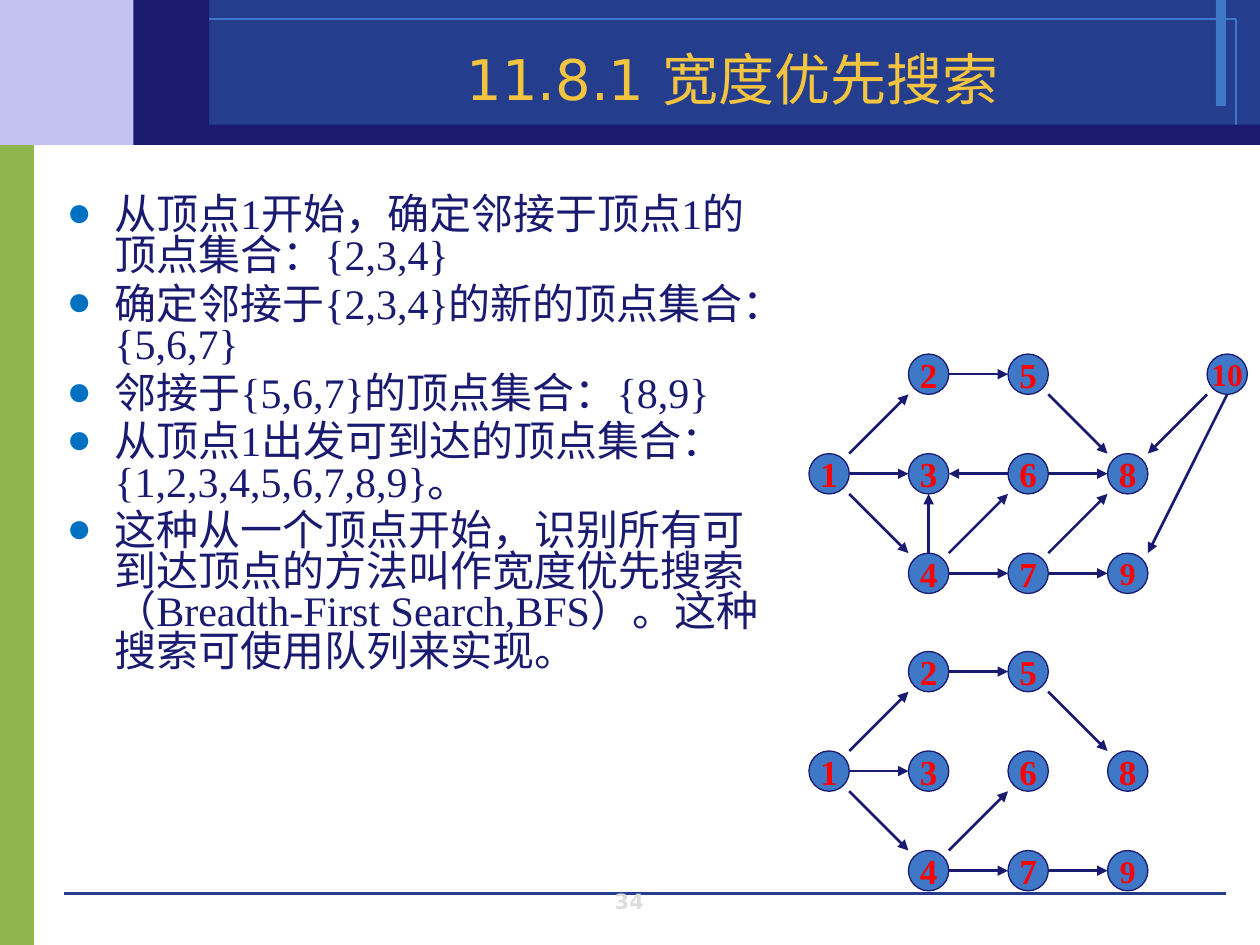
import pptx
import pptx.dml.color
import pptx.enum.shapes
import pptx.enum.text
import pptx.oxml.ns
import pptx.util
from lxml import etree

Inches, Pt = pptx.util.Inches, pptx.util.Pt
SHAPE = pptx.enum.shapes.MSO_SHAPE
ALIGN = pptx.enum.text.PP_ALIGN
ANCHOR = pptx.enum.text.MSO_ANCHOR
SANS, SERIF = "DejaVu Sans", "Times New Roman"
NAVY, BLUE, LIGHT_BLUE = "1A1A70", "243D8C", "3E78C6"

# Content
TITLE = "11.8.1 宽度优先搜索 "
PAGE_NUMBER = "34"
BULLETS = [
    "从顶点1开始，确定邻接于顶点1的顶点集合：{2,3,4}",
    "确定邻接于{2,3,4}的新的顶点集合：{5,6,7}",
    "邻接于{5,6,7}的顶点集合：{8,9}",
    "从顶点1出发可到达的顶点集合：{1,2,3,4,5,6,7,8,9}。",
    "这种从一个顶点开始，识别所有可到达顶点的方法叫作宽度优先搜索"
    "（Breadth-First Search,BFS）。这种搜索可使用队列来实现。",
]

# Graph vertices as (column, row) on a shared grid
VERTICES = {1: (0, 1), 2: (1, 0), 3: (1, 1), 4: (1, 2), 5: (2, 0),
            6: (2, 1), 7: (2, 2), 8: (3, 1), 9: (3, 2), 10: (4, 0)}
TREE_EDGES = [(1, 2), (1, 3), (1, 4), (2, 5), (4, 7), (5, 8), (7, 9), (4, 6)]
OTHER_EDGES = [(6, 3), (6, 8), (7, 8), (10, 8), (10, 9), (4, 3)]
GRAPHS = [  # top of the grid, vertices, edges
    (2.81, range(1, 11), TREE_EDGES + OTHER_EDGES),
    (5.17, range(1, 10), TREE_EDGES),
]
GRID_LEFT, GRID_STEP, DIAMETER = 6.42, 0.79, 0.32

# Master decoration: left, top, width, height, fill, line
BANDS = [
    (0, 1.07, 0.27, 6.44, "90B54D", None),
    (0, 0, 1.53, 1.15, "C3C3F1", None),
    (1.53, 0, 8.47, 1.15, BLUE, None),
    (9.65, 0, 0.08, 0.84, LIGHT_BLUE, None),
    (1.19, 0.15, 8.62, 0.85, None, LIGHT_BLUE),
    (1.3, 0.99, 8.7, 0.16, NAVY, None),
    (1.06, 0, 0.6, 1.15, NAVY, None),
]


def color(value):
    return pptx.dml.color.RGBColor.from_string(value)


def add_element(parent, tag, **attributes):
    return etree.SubElement(parent, pptx.oxml.ns.qn(tag), attributes)


def add_bullet(paragraph):
    properties = paragraph._p.get_or_add_pPr()
    properties.set("marL", str(Inches(0.38)))
    properties.set("indent", str(-Inches(0.38)))
    bullet_color = add_element(properties, "a:buClr")
    add_element(bullet_color, "a:srgbClr", val="0070C0")
    add_element(properties, "a:buFont", typeface=SERIF)
    add_element(properties, "a:buChar", char="●")


def write(shape, *texts, size, font, fill, bold=False, align=ALIGN.LEFT,
          anchor=ANCHOR.TOP, wrap=True, bullets=False, spacing=None, before=0):
    frame = shape.text_frame
    frame.word_wrap = wrap
    frame.vertical_anchor = anchor
    for index, text in enumerate(texts):
        paragraph = frame.add_paragraph() if index else frame.paragraphs[0]
        paragraph.alignment = align
        if spacing:
            paragraph.line_spacing = spacing
        if index:
            paragraph.space_before = Pt(before)
        if bullets:
            add_bullet(paragraph)
        run = paragraph.add_run()
        run.text = text
        run.font.size = Pt(size)
        run.font.name = font
        run.font.bold = bold
        run.font.color.rgb = color(fill)


def add_text(slide, box, *texts, **style):
    write(slide.shapes.add_textbox(*map(Inches, box)), *texts, **style)


def add_filled(slide, kind, box, fill, line, width):
    shape = slide.shapes.add_shape(kind, *map(Inches, box))
    shape.shadow.inherit = False
    if fill:
        shape.fill.solid()
        shape.fill.fore_color.rgb = color(fill)
    else:
        shape.fill.background()
    if line:
        shape.line.color.rgb = color(line)
        shape.line.width = Pt(width)
    else:
        shape.line.fill.background()
    return shape


def add_line(slide, start, end, fill, width, arrow=False):
    line = slide.shapes.add_connector(
        pptx.enum.shapes.MSO_CONNECTOR.STRAIGHT, *map(Inches, (*start, *end)))
    line.line.color.rgb = color(fill)
    line.line.width = Pt(width)
    if arrow:
        add_element(line.line._get_or_add_ln(), "a:tailEnd", type="triangle")
    add_element(line._element.spPr, "a:effectLst")


def sign(number):
    return (number > 0) - (number < 0)


def add_graph(slide, top, vertices, edges):
    radius = DIAMETER / 2

    def corner(vertex):
        column, row = VERTICES[vertex]
        return GRID_LEFT + column * GRID_STEP, top + row * GRID_STEP

    def port(vertex, across, down):
        left, upper = corner(vertex)
        return left + radius * (1 + across), upper + radius * (1 + down)

    for vertex in vertices:
        circle = add_filled(slide, SHAPE.OVAL, (*corner(vertex), DIAMETER, DIAMETER),
                            LIGHT_BLUE, NAVY, 0.75)
        write(circle, str(vertex), size=20 if vertex < 9 else 18, font=SERIF,
              fill="FF0000", bold=True, align=ALIGN.CENTER,
              anchor=ANCHOR.MIDDLE, wrap=False)

    for source, target in edges:
        (x1, y1), (x2, y2) = VERTICES[source], VERTICES[target]
        across, down = sign(x2 - x1), sign(y2 - y1)
        # A steep edge leaves from the bottom centre
        leave = 0 if abs(y2 - y1) > abs(x2 - x1) else across
        add_line(slide, port(source, leave, down), port(target, -across, -down),
                 NAVY, 1.5, arrow=True)


def main():
    presentation = pptx.Presentation()
    presentation.slide_width, presentation.slide_height = Inches(10), Inches(7.5)
    slide = presentation.slides.add_slide(presentation.slide_layouts[6])

    # Background bands and footer rule
    for *box, fill, line in BANDS:
        add_filled(slide, SHAPE.RECTANGLE, box, fill, line, 0)
    add_line(slide, (0.51, 7.09), (9.73, 7.09), BLUE, 0)

    # Text
    add_text(slide, (3.83, 7.05, 2.33, 0.25), PAGE_NUMBER, size=12, font=SANS,
             fill="DDDDDD", bold=True, align=ALIGN.CENTER, anchor=ANCHOR.BOTTOM)
    add_text(slide, (1.73, 0.21, 8.27, 0.73), TITLE, size=32, font=SANS,
             fill="F3C43F", align=ALIGN.CENTER, anchor=ANCHOR.BOTTOM)
    add_text(slide, (0.43, 1.52, 5.83, 5.59), *BULLETS, size=24, font=SERIF,
             fill=NAVY, bullets=True, spacing=0.8, before=4.8)

    # Full graph above, search tree below
    for graph in GRAPHS:
        add_graph(slide, *graph)

    presentation.save("out.pptx")


if __name__ == "__main__":
    main()
